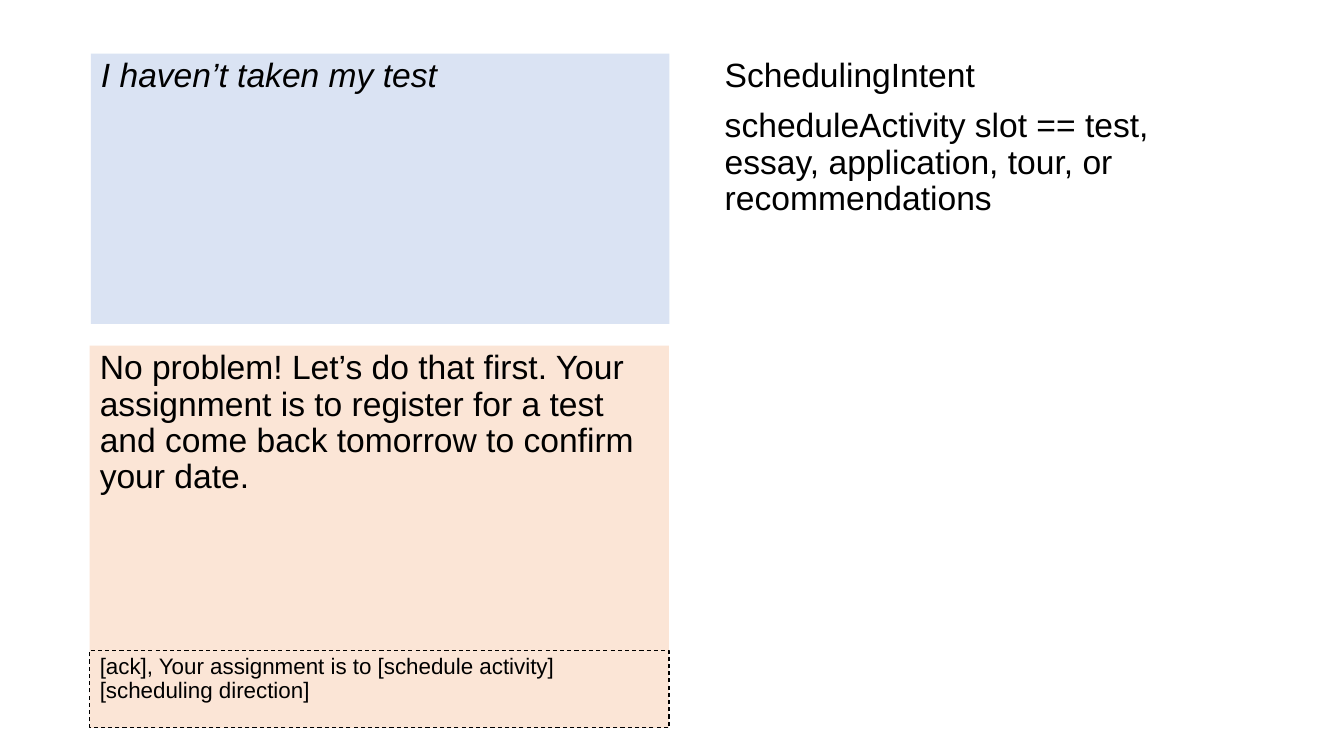
from dataclasses import dataclass

from lxml import etree
from pptx import Presentation
from pptx import util as u
from pptx.dml.color import RGBColor
from pptx.enum import dml, text
from pptx.oxml import ns

HUES = {"ink": "000000", "user": "DAE3F3", "bot": "FBE5D6"}
FONT = "Arial"


@dataclass
class Panel:
    slot: int
    left: float
    top: float
    width: float
    height: float
    lines: list[str]
    fill: str = ""
    size: int = 24
    italic: bool = False
    dashed: bool = False


TOP, HIGH = 1.35, 6.81
LEFT, WIDE = 2.26, 14.6
PANELS = [
    Panel(1, 2.29, TOP, 14.58, HIGH, ["I haven’t taken my test"],
          fill="user", italic=True),
    Panel(2, LEFT, 8.71, WIDE, 7.67,
          ["No problem! Let’s do that first. Your assignment is to register "
           "for a test and come back tomorrow to confirm your date."],
          fill="bot"),
    Panel(3, 18.01, TOP, 13.49, HIGH,
          ["SchedulingIntent",
           "scheduleActivity slot == test, essay, application, tour, or "
           "recommendations"]),
    Panel(4, LEFT, 16.38, WIDE, 1.96,
          ["[ack], Your assignment is to [schedule activity] "
           "[scheduling direction]"],
          fill="bot", size=16, dashed=True),
]


def hue(name: str) -> RGBColor:
    return RGBColor.from_string(HUES[name])


def write(par, words: str, *, size: int, italic: bool = False,
          before: int = 0, color: str = "ink") -> None:
    """Fill a paragraph with one formatted run and no bullet."""
    props = par._p.get_or_add_pPr()
    props.set("marL", "0")
    props.set("indent", "0")
    etree.SubElement(props, ns.qn("a:buNone"))
    par.alignment = text.PP_ALIGN.LEFT
    par.line_spacing = 0.9
    par.space_before = u.Pt(before)
    run = par.add_run()
    run.text = words
    font = run.font
    font.name, font.size = FONT, u.Pt(size)
    font.bold, font.italic = False, italic
    font.color.rgb = hue(color)


def draw(slide, panel: Panel) -> None:
    box = slide.placeholders[panel.slot]
    box.left, box.top = u.Cm(panel.left), u.Cm(panel.top)
    box.width, box.height = u.Cm(panel.width), u.Cm(panel.height)
    if panel.fill:
        box.fill.solid()
        box.fill.fore_color.rgb = hue(panel.fill)
    if panel.dashed:
        box.line.color.rgb = hue("ink")
        box.line.width = u.Pt(0.75)
        box.line.dash_style = dml.MSO_LINE.DASH
    frame = box.text_frame
    frame.word_wrap = True
    frame.auto_size = text.MSO_AUTO_SIZE.NONE
    frame.vertical_anchor = text.MSO_ANCHOR.TOP
    for row, words in enumerate(panel.lines):
        par = frame.add_paragraph() if row else frame.paragraphs[0]
        write(par, words, size=panel.size, italic=panel.italic,
              before=10 if row else 0)


def main() -> None:
    deck = Presentation()
    deck.slide_width, deck.slide_height = u.Cm(33.87), u.Cm(19.05)
    slide = deck.slides.add_slide(deck.slide_layouts.get_by_name("Comparison"))
    title = slide.shapes.title.element
    title.getparent().remove(title)
    for panel in PANELS:
        draw(slide, panel)
    deck.save("out.pptx")


if __name__ == "__main__":
    main()
